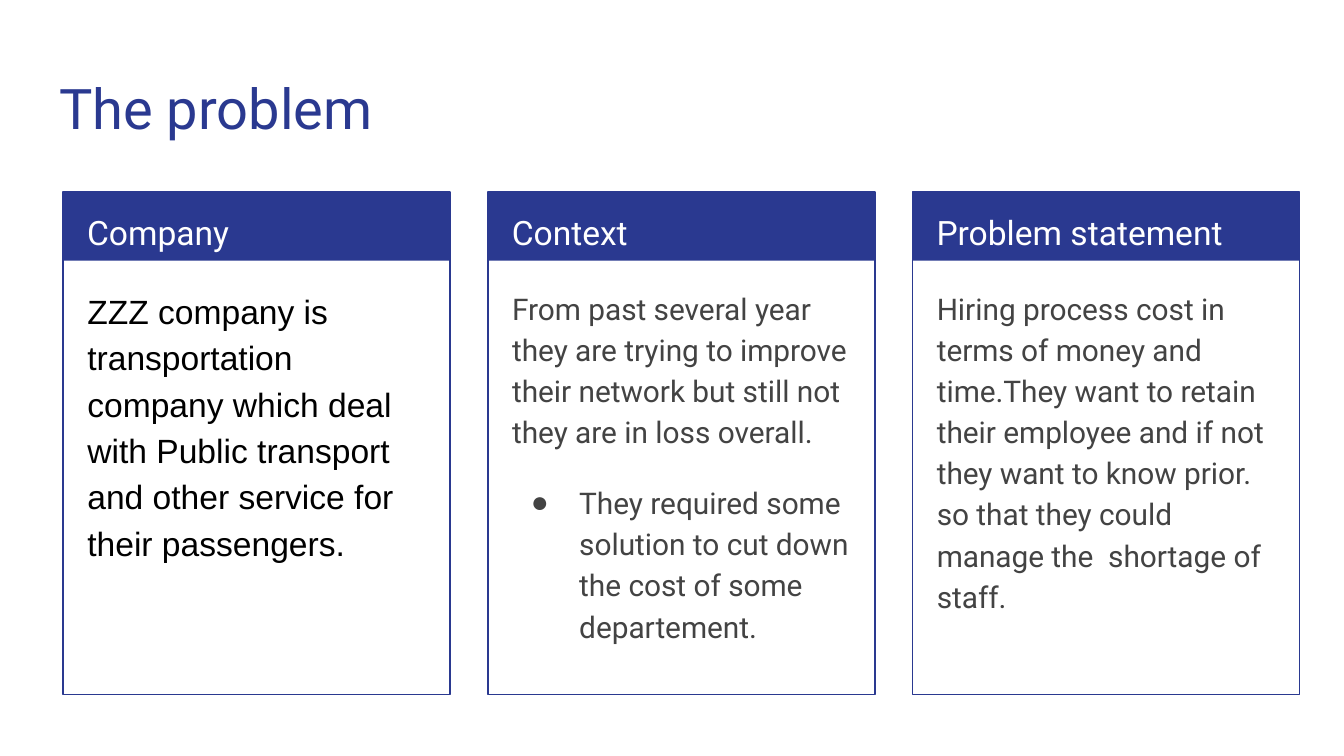
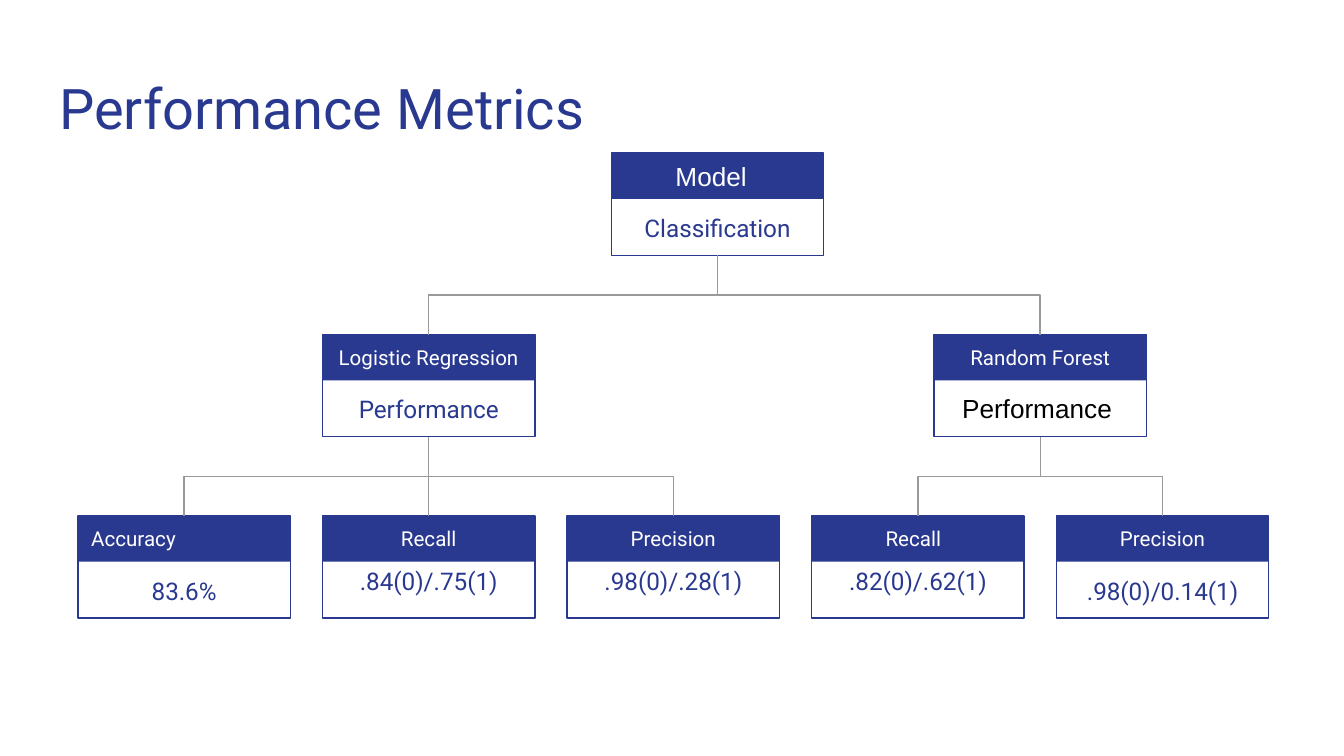
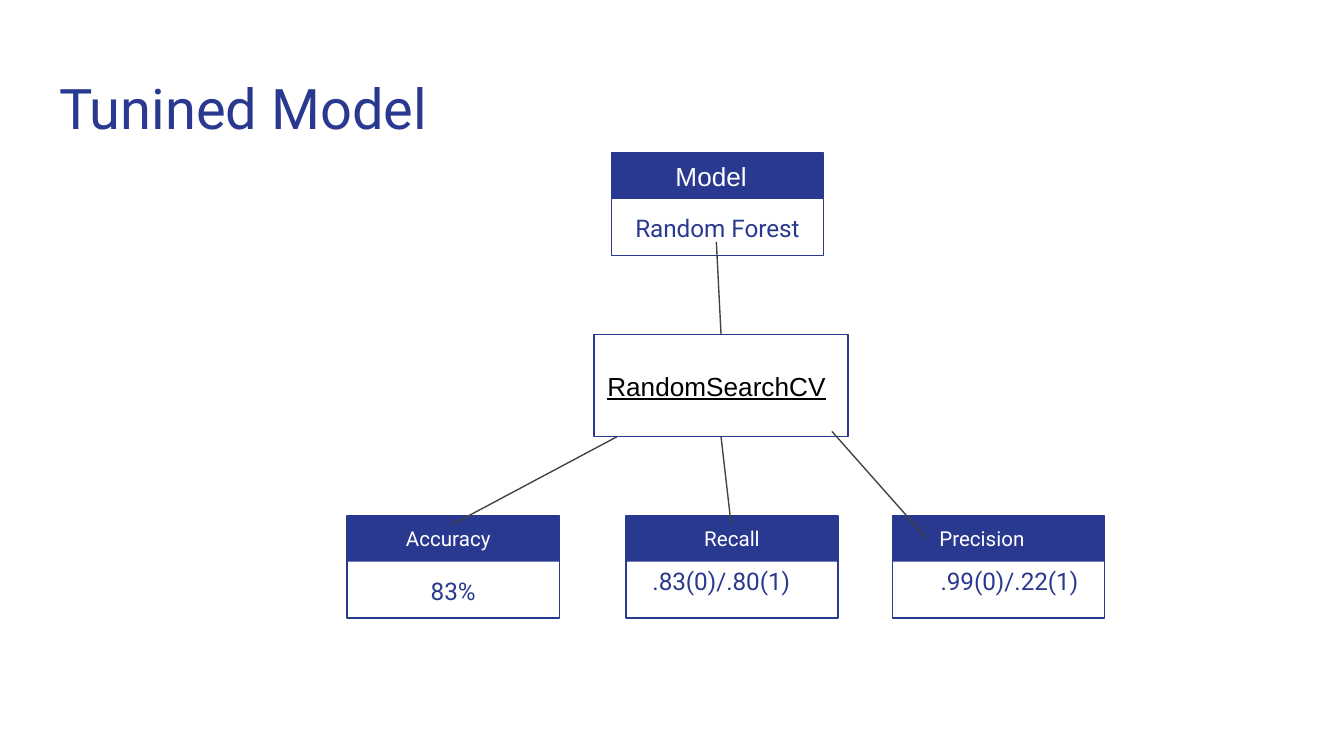
from copy import deepcopy
from dataclasses import dataclass
from typing import NamedTuple, Optional

from lxml.etree import SubElement
from pptx import Presentation
from pptx.dml.color import RGBColor
from pptx.enum.shapes import MSO_CONNECTOR, MSO_SHAPE
from pptx.enum.text import MSO_ANCHOR, MSO_AUTO_SIZE, PP_ALIGN
from pptx.oxml.ns import qn
from pptx.util import Inches, Pt

BOTTOM_SIDE, TOP_SIDE = 2, 0


@dataclass(frozen=True)
class Theme:
    brand: str = "2A3990"
    white: str = "FFFFFF"
    black: str = "000000"
    gray: str = "434343"
    branch: str = "999999"
    font: str = "Roboto"
    plain_font: str = "Arial"
    title: int = 30
    heading: int = 18
    body: int = 16
    plain: int = 14
    value: int = 13
    label: int = 11
    line: float = 0.75
    inset: float = 0.1


THEME = Theme()


class Box(NamedTuple):
    left: float
    top: float
    width: float
    height: float

    def inner(self, dx: float, dy: float, width: float, height: float) -> "Box":
        return Box(self.left + dx, self.top + dy, width, height)

    def lengths(self) -> list:
        return [Inches(length) for length in self]


class Grid(NamedTuple):
    left: float
    top: float
    column_step: float
    row_step: float
    width: float
    height: float

    def cell(self, column: float, row: float) -> Box:
        return Box(self.left + column * self.column_step,
                   self.top + row * self.row_step, self.width, self.height)


CARDS = Grid(0.47, 1.43, 3.16, 0, 2.88, 3.74)
TREE = Grid(0.58, 1.14, 1.82, 1.35, 1.58, 0.76)
TITLE_BOX = Box(0.34, 0.45, 9.32, 0.66)
CARD_HEADER, NODE_HEADER = 0.51, 0.34


@dataclass(frozen=True)
class Style:
    size: int
    color: str
    font: str = THEME.font
    align: PP_ALIGN = PP_ALIGN.LEFT
    anchor: MSO_ANCHOR = MSO_ANCHOR.TOP
    spacing: float = 1.0
    indent: float = 0
    underline: bool = False


@dataclass(frozen=True)
class Card:
    heading: str
    text: str
    style: Style
    bullet: Optional[str] = None


@dataclass(frozen=True)
class Label:
    """Text of a node; inside means it belongs to the rectangle itself."""
    text: str
    centred: bool = True
    indent: float = 0
    shift: float = 0
    raised: bool = False
    inside: bool = False


@dataclass(frozen=True)
class Node:
    column: float
    row: float
    header: Label
    value: Label
    parent: Optional[int] = None


TITLE_STYLE = Style(THEME.title, THEME.brand)
HEADING_STYLE = Style(THEME.heading, THEME.white, spacing=1.15)
BODY_STYLE = Style(THEME.body, THEME.gray, spacing=1.15)
COMPANY_STYLE = Style(THEME.heading, THEME.black, THEME.plain_font, spacing=1.15)
SEARCH_STYLE = Style(THEME.plain, THEME.black, THEME.plain_font,
                     anchor=MSO_ANCHOR.MIDDLE, underline=True)

PROBLEM = [
    Card("Company",
         "ZZZ company is transportation company which deal with Public transport "
         "and other service for their passengers.", COMPANY_STYLE),
    Card("Context",
         "From past several year they are trying to improve their network but "
         "still not they are in loss overall.", BODY_STYLE,
         "They required some solution to cut down the cost of some departement."),
    Card("Problem statement",
         "Hiring process cost in terms of money and time.They want to retain their "
         "employee and if not they want to know prior. so that they could  "
         "manage the  shortage of staff.", BODY_STYLE),
]

MODEL = Label("Model", centred=False, indent=0.38, inside=True)
METRICS = [
    Node(2.18, 0, MODEL, Label("Classification")),
    Node(1, 1, Label("Logistic Regression"), Label("Performance"), 0),
    Node(3.5, 1, Label("Random Forest"),
         Label("Performance", centred=False, indent=0.11, inside=True), 0),
    Node(0, 2, Label("Accuracy", centred=False), Label("83.6%"), 1),
    Node(1, 2, Label("Recall"), Label(".84(0)/.75(1)", raised=True), 1),
    Node(2, 2, Label("Precision"), Label(".98(0)/.28(1)", raised=True), 1),
    Node(3, 2, Label("Recall", centred=False, indent=0.45),
         Label(".82(0)/.62(1)", raised=True), 2),
    Node(4, 2, Label("Precision"), Label(".98(0)/0.14(1)"), 2),
]
TUNED = [
    Node(2.18, 0, MODEL, Label("Random Forest")),
    Node(1.1, 2, Label("Accuracy", centred=False, indent=0.34), Label("83%")),
    Node(2.24, 2, Label("Recall"),
         Label(".83(0)/.80(1)", shift=-0.08, raised=True)),
    Node(3.33, 2, Label("Precision", centred=False, shift=0.25),
         Label(".99(0)/.22(1)", shift=0.08, raised=True)),
]


def set_bullet(para, indent: float, color: Optional[str] = None) -> None:
    """Indent a paragraph, with a bullet when a colour is given."""
    properties = para._p.get_or_add_pPr()
    properties.set("marL", str(Inches(0.5 if color else indent)))
    properties.set("indent", str(Inches(-0.36 if color else 0)))
    if color:
        fill = SubElement(properties, qn("a:buClr"))
        SubElement(fill, qn("a:srgbClr")).set("val", color)
        SubElement(properties, qn("a:buChar")).set("char", "●")
    else:
        SubElement(properties, qn("a:buNone"))


def write(shape, text: str, style: Style, bullet: Optional[str] = None) -> None:
    frame = shape.text_frame
    frame.text = f"{text}\n{bullet}" if bullet else text
    frame.word_wrap = True
    frame.auto_size = MSO_AUTO_SIZE.NONE
    frame.vertical_anchor = style.anchor
    frame.margin_left = frame.margin_right = Inches(THEME.inset)
    frame.margin_top = frame.margin_bottom = Inches(THEME.inset)
    for index, para in enumerate(frame.paragraphs):
        para.alignment = style.align
        para.line_spacing = style.spacing
        para.space_before = Pt(16 if index else 0)
        para.space_after = Pt(0)
        set_bullet(para, style.indent, style.color if index else None)
        for span in para.runs:
            span.font.name = style.font
            span.font.size = Pt(style.size)
            span.font.color.rgb = RGBColor.from_string(style.color)
            span.font.underline = style.underline


def move(shape, box: Box) -> None:
    shape.left, shape.top, shape.width, shape.height = box.lengths()


def add_text(slide, box: Box, text: str, style: Style) -> None:
    write(slide.shapes.add_textbox(*box.lengths()), text, style)


def add_rectangle(slide, box: Box, filled: bool = False):
    """Add a solid brand band, or an open frame with a brand outline."""
    shape = slide.shapes.add_shape(MSO_SHAPE.RECTANGLE, *box.lengths())
    shape.shadow.inherit = False
    if filled:
        shape.fill.solid()
        shape.fill.fore_color.rgb = RGBColor.from_string(THEME.brand)
        shape.line.fill.background()
    else:
        shape.fill.background()
        shape.line.color.rgb = RGBColor.from_string(THEME.brand)
        shape.line.width = Pt(THEME.line)
    return shape


def add_titled_slide(deck, layout, title: str):
    slide = deck.slides.add_slide(layout)
    move(slide.shapes.title, TITLE_BOX)
    write(slide.shapes.title, title, TITLE_STYLE)
    return slide


def add_line(slide, start: tuple, end: tuple, color: str,
             kind=MSO_CONNECTOR.STRAIGHT):
    points = [Inches(length) for length in (*start, *end)]
    line = slide.shapes.add_connector(kind, *points)
    line.line.color.rgb = RGBColor.from_string(color)
    line.line.width = Pt(THEME.line)
    SubElement(line.element.spPr, qn("a:effectLst"))
    return line


def add_branch(slide, parent, child, parent_box: Box, child_box: Box) -> None:
    """Join a parent's bottom to a child's top, turning halfway down."""
    x1, y1 = parent_box.left + parent_box.width / 2, parent_box.top + parent_box.height
    x2, y2 = child_box.left + child_box.width / 2, child_box.top
    across, down = abs(x2 - x1), y2 - y1
    straight = across < 0.01
    kind = MSO_CONNECTOR.STRAIGHT if straight else MSO_CONNECTOR.ELBOW
    line = add_line(slide, (x1, y1), (x2, y2), THEME.branch, kind)
    line.begin_connect(parent, BOTTOM_SIDE)
    line.end_connect(child, TOP_SIDE)
    if straight:
        return
    move(line, Box((x1 + x2 - down) / 2, (y1 + y2 - across) / 2, down, across))
    rightward = x2 > x1
    transform = line.element.spPr.find(qn("a:xfrm"))
    transform.set("rot", str((270 if rightward else 90) * 60000))
    transform.set("flipH", "1" if rightward else "0")
    transform.set("flipV", "0")


def add_label(slide, shape, box: Box, label: Label, style: Style) -> None:
    if label.inside:
        write(shape, label.text, style)
    else:
        add_text(slide, box, label.text, style)


def label_style(label: Label, size: int, color: str, inside_color: str,
                inside_anchor: MSO_ANCHOR) -> Style:
    align = PP_ALIGN.CENTER if label.centred else PP_ALIGN.LEFT
    if label.inside:
        return Style(THEME.plain, inside_color, THEME.plain_font, align,
                     inside_anchor, indent=label.indent)
    return Style(size, color, align=align, anchor=MSO_ANCHOR.MIDDLE,
                 indent=label.indent)


def add_node(slide, node: Node):
    box = TREE.cell(node.column, node.row)
    frame = add_rectangle(slide, box)
    band = add_rectangle(slide, box.inner(0, 0, box.width, NODE_HEADER), filled=True)
    header, value = node.header, node.value
    add_label(slide, band, box.inner(header.shift, 0.06, box.width, 0.21), header,
              label_style(header, THEME.label, THEME.white, THEME.white,
                          MSO_ANCHOR.MIDDLE))
    top, height = (0.31, 0.34) if value.raised else (0.45, 0.21)
    add_label(slide, frame, box.inner(value.shift, top, box.width, height), value,
              label_style(value, THEME.value, THEME.brand, THEME.black,
                          MSO_ANCHOR.BOTTOM))
    return frame


def three_column_layout(deck):
    """Give the two-content layout a third body placeholder."""
    layout = deck.slide_layouts[3]
    second = layout.placeholders[2].element
    third = deepcopy(second)
    third.find(".//" + qn("p:ph")).set("idx", "13")
    third.find(".//" + qn("p:cNvPr")).set("id", "20")
    third.find(".//" + qn("p:cNvPr")).set("name", "Content Placeholder 19")
    second.addnext(third)
    return layout


def build_problem(deck) -> None:
    slide = add_titled_slide(deck, three_column_layout(deck), "The problem")
    bodies = list(slide.placeholders)[1:]
    for column, (card, body) in enumerate(zip(PROBLEM, bodies)):
        box = CARDS.cell(column, 0)
        add_rectangle(slide, box.inner(0, 0, box.width, CARD_HEADER), filled=True)
        add_rectangle(slide, box)
        add_text(slide, box.inner(0.08, 0, 2.73, 0.5), card.heading, HEADING_STYLE)
        move(body, box.inner(0.08, 0.59, 2.71, 3.06))
        write(body, card.text, card.style, card.bullet)


def build_metrics(deck) -> None:
    slide = add_titled_slide(deck, deck.slide_layouts[5], "Performance Metrics")
    frames = [add_node(slide, node) for node in METRICS]
    boxes = [TREE.cell(node.column, node.row) for node in METRICS]
    for index, node in enumerate(METRICS):
        if node.parent is not None:
            add_branch(slide, frames[node.parent], frames[index],
                       boxes[node.parent], boxes[index])


def build_tuned(deck) -> None:
    slide = add_titled_slide(deck, deck.slide_layouts[5], "Tunined Model")
    for node in TUNED:
        add_node(slide, node)
    search = add_rectangle(slide, Box(4.42, 2.49, 1.89, TREE.height))
    write(search, "RandomSearchCV", SEARCH_STYLE)
    to_search = add_line(slide, (5.33, 1.8), (5.36, 2.49), THEME.gray)
    to_search.end_connect(search, TOP_SIDE)
    to_recall = add_line(slide, (5.36, 3.25), (5.44, 3.9), THEME.gray)
    to_recall.begin_connect(search, BOTTOM_SIDE)
    add_line(slide, (4.59, 3.25), (3.37, 3.9), THEME.gray)
    add_line(slide, (6.19, 3.21), (6.89, 4), THEME.gray)


def main() -> None:
    deck = Presentation()
    deck.slide_width = Inches(10)
    deck.slide_height = deck.slide_width * 9 // 16
    build_problem(deck)
    build_metrics(deck)
    build_tuned(deck)
    deck.save("out.pptx")


if __name__ == "__main__":
    main()
